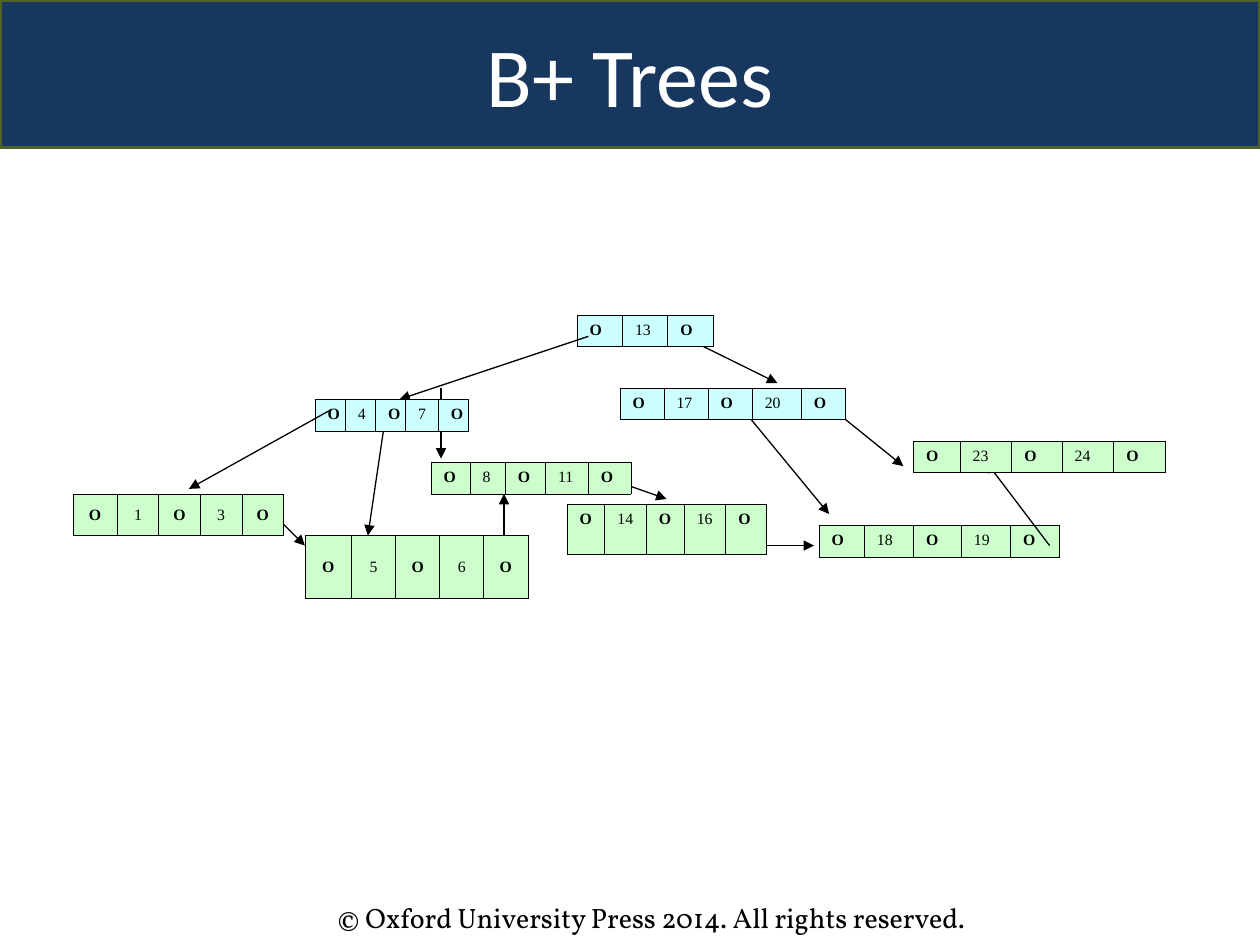
"""Build the B+ Trees slide: a tree of key tables joined by arrows."""
import dataclasses
import typing

import lxml.etree
import pptx
import pptx.dml.color
import pptx.enum.shapes
import pptx.enum.text
import pptx.oxml.ns
import pptx.util

Inches = pptx.util.Inches
Pt = pptx.util.Pt
Align = pptx.enum.text.PP_ALIGN
Anchor = pptx.enum.text.MSO_ANCHOR
qn = pptx.oxml.ns.qn


@dataclasses.dataclass(frozen=True)
class Theme:
    """Colours, fonts and sizes of the slide."""
    navy: str = "17375E"
    olive: str = "4F6228"
    white: str = "FFFFFF"
    black: str = "000000"
    inner: str = "CCFFFF"
    leaf: str = "CCFFCC"
    head: str = "Calibri"
    body: str = "Times New Roman"
    foot: str = "Vollkorn"
    big: float = 48
    mid: float = 16
    small: float = 9
    frame: float = 2
    wire: float = 0.75
    edge: float = 0.45


THEME = Theme()


@dataclasses.dataclass(frozen=True)
class Node:
    """A tree node, with keys set between pointers."""
    left: float
    top: float
    high: float
    cols: tuple[float, ...]
    keys: tuple[int, ...]
    fill: str = THEME.leaf
    align: Align = Align.JUSTIFY
    anchor: Anchor = Anchor.TOP


@dataclasses.dataclass(frozen=True)
class Link:
    """An arrow from one point to another."""
    x1: float
    y1: float
    x2: float
    y2: float


MID = {"align": Align.CENTER, "anchor": Anchor.MIDDLE}
TREE = (
    Link(5.42, 2.67, 6.17, 3.04),
    Node(4.58, 2.5, 0.25, (0.36,) * 3, (13,), THEME.inner, Align.LEFT),
    Link(4.67, 2.67, 3.17, 3.17),
    Link(3.08, 3.17, 2.92, 4.25),
    Link(3.5, 3.08, 3.5, 3.64),
    Node(2.5, 3.17, 0.25, (0.24, 0.24, 0.24, 0.26, 0.24), (4, 7), THEME.inner),
    Link(5.83, 3.17, 6.58, 4.08),
    Link(6.55, 3.2, 7.17, 3.7),
    Node(4.92, 3.08, 0.25, (0.35, 0.35, 0.35, 0.39, 0.35), (17, 20), THEME.inner),
    Link(2.17, 4.08, 2.42, 4.33),
    Node(0.58, 3.92, 0.33, (0.35, 0.33, 0.33, 0.33, 0.33), (1, 3), **MID),
    Link(2.63, 3.25, 1.5, 3.88),
    Node(2.42, 4.25, 0.5, (0.37, 0.35, 0.35, 0.35, 0.35), (5, 6), **MID),
    Link(4.92, 3.83, 5.29, 3.96),
    Node(3.42, 3.67, 0.25, (0.31, 0.28, 0.32, 0.34, 0.34), (8, 11)),
    Link(4, 4.25, 4, 3.92),
    Link(6.08, 4.33, 6.46, 4.33),
    Node(4.5, 4, 0.4, (0.3, 0.33, 0.3, 0.33, 0.32), (14, 16)),
    Node(6.5, 4.17, 0.25, (0.36, 0.39, 0.38, 0.39, 0.39), (18, 19)),
    Link(8.33, 4.33, 7.83, 3.67),
    Node(7.25, 3.5, 0.25, (0.37, 0.41, 0.4, 0.41, 0.41), (23, 24)),
)


def paint(hue: str) -> pptx.dml.color.RGBColor:
    """Turn a hex string into a colour."""
    return pptx.dml.color.RGBColor.from_string(hue)


def write(para: typing.Any, text: str, face: str, size: float,
          hue: str = THEME.black, bold: bool = False) -> None:
    """Fill a paragraph and set its font."""
    para.text = text
    font = para.font
    font.name, font.size, font.bold = face, Pt(size), bold
    font.color.rgb = paint(hue)


def rule(cell: typing.Any) -> None:
    """Draw the four borders of a cell."""
    props = cell._tc.get_or_add_tcPr()
    for side in ("lnL", "lnR", "lnT", "lnB"):
        line = lxml.etree.SubElement(props, qn(f"a:{side}"), w=str(Pt(THEME.edge)))
        fill = lxml.etree.SubElement(line, qn("a:solidFill"))
        lxml.etree.SubElement(fill, qn("a:srgbClr"), val=THEME.black)


def draw_node(slide: typing.Any, node: Node) -> None:
    """Draw a node as a one-row table."""
    size = len(node.cols)
    table = slide.shapes.add_table(
        1, size, Inches(node.left), Inches(node.top),
        Inches(sum(node.cols)), Inches(node.high)).table
    table.first_row = table.horz_banding = False
    for i, wide in enumerate(node.cols):
        table.columns[i].width = Inches(wide)
        cell = table.cell(0, i)
        rule(cell)
        cell.fill.solid()
        cell.fill.fore_color.rgb = paint(node.fill)
        cell.vertical_anchor = node.anchor
        para = cell.text_frame.paragraphs[0]
        para.alignment = node.align
        link = i % 2 == 0
        text = "O" if link else str(node.keys[i // 2])
        write(para, text, THEME.body, THEME.small, bold=link)


def draw_link(slide: typing.Any, link: Link) -> None:
    """Draw an arrow with a triangle at its end."""
    wire = slide.shapes.add_connector(
        pptx.enum.shapes.MSO_CONNECTOR.STRAIGHT,
        Inches(link.x1), Inches(link.y1), Inches(link.x2), Inches(link.y2))
    wire.line.color.rgb = paint(THEME.black)
    wire.line.width = Pt(THEME.wire)
    lxml.etree.SubElement(wire.line._get_or_add_ln(), qn("a:tailEnd"), type="triangle")
    lxml.etree.SubElement(wire._element.spPr, qn("a:effectLst"))


def draw_title(slide: typing.Any) -> None:
    """Turn the title into a banner across the top."""
    title = slide.shapes.title
    title.left, title.top = Inches(0), Inches(0)
    title.width, title.height = Inches(10), Inches(1.17)
    title.fill.solid()
    title.fill.fore_color.rgb = paint(THEME.navy)
    title.line.color.rgb = paint(THEME.olive)
    title.line.width = Pt(THEME.frame)
    frame = title.text_frame
    frame.auto_size = pptx.enum.text.MSO_AUTO_SIZE.NONE
    frame.vertical_anchor = Anchor.MIDDLE
    para = frame.paragraphs[0]
    para.alignment = Align.CENTER
    write(para, "B+ Trees", THEME.head, THEME.big, THEME.white)


def draw_foot(slide: typing.Any) -> None:
    """Write the copyright line."""
    box = slide.shapes.add_textbox(Inches(2.58), Inches(7.1), Inches(5.92), Inches(0.37))
    box.text_frame.word_wrap = True
    write(box.text_frame.paragraphs[0],
          "© Oxford University Press 2014. All rights reserved.",
          THEME.foot, THEME.mid)


def main() -> None:
    """Build and save the deck."""
    deck = pptx.Presentation()
    deck.slide_width, deck.slide_height = Inches(10), Inches(7.5)
    slide = deck.slides.add_slide(deck.slide_layouts[5])
    draw_foot(slide)
    draw_title(slide)
    for item in TREE:
        if isinstance(item, Node):
            draw_node(slide, item)
        else:
            draw_link(slide, item)
    deck.save("out.pptx")


if __name__ == "__main__":
    main()
